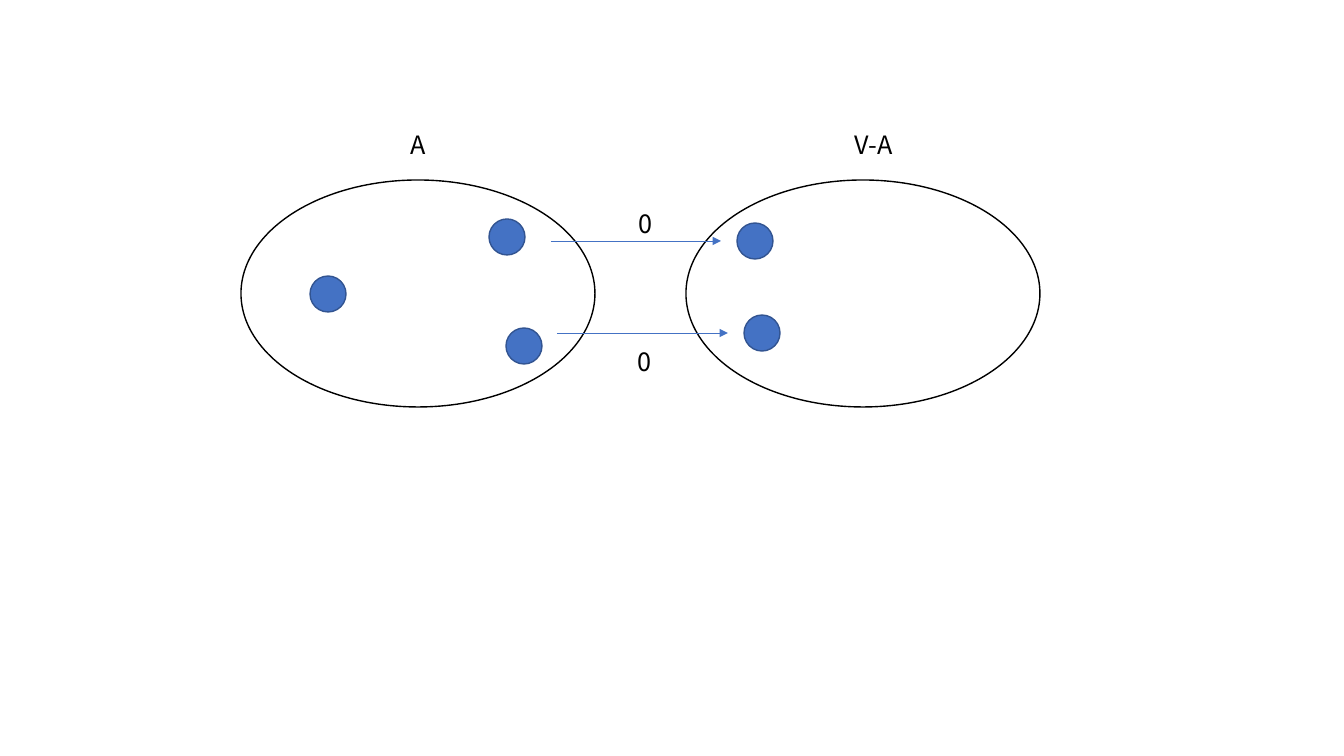
import pptx
import pptx.util
import pptx.dml.color
import pptx.enum.shapes
import pptx.enum.text
import pptx.oxml
import pptx.oxml.ns

# Content, in pixels
SLIDE_SIZE = (1344, 756)
SET_SIZE = (354, 227)
SETS = [(241, 180), (686, 180)]                 # left, top
VERTEX_SIZE = (36, 36)
VERTICES = [(507, 237), (328, 294), (524, 346), (755, 241), (762, 333)]  # centre
EDGES = [(551, 721, 241), (557, 728, 333)]      # from x, to x, y
LABEL_HEIGHT = 40
LABELS = [("A", 401, 124, 37), ("V-A", 845, 124, 64),
          ("0", 629, 203, 34), ("0", 628, 341, 34)]  # text, left, top, width
LABEL_FONT = {"name": "Noto Sans CJK KR", "size": pptx.util.Pt(18)}
LABEL_FRAME = {"word_wrap": False,
               "auto_size": pptx.enum.text.MSO_AUTO_SIZE.SHAPE_TO_FIT_TEXT}
BLACK, BLUE, DARK_BLUE = "000000", "4472C4", "325491"


def px(*lengths):
    return [round(length * 914400 / 100.8) for length in lengths]


def color(hex_value):
    return pptx.dml.color.RGBColor.from_string(hex_value)


def style_line(line, hex_value, points):
    line.color.rgb = color(hex_value)
    line.width = pptx.util.Pt(points)


def add_ellipse(left, top, size, line_color, fill_color=None):
    ellipse = slide.shapes.add_shape(
        pptx.enum.shapes.MSO_SHAPE.OVAL, *px(left, top, *size))
    ellipse.shadow.inherit = False
    style_line(ellipse.line, line_color, 1)
    if fill_color:
        ellipse.fill.solid()
        ellipse.fill.fore_color.rgb = color(fill_color)
    else:
        ellipse.fill.background()


def add_label(text, left, top, width):
    frame = slide.shapes.add_textbox(*px(left, top, width, LABEL_HEIGHT)).text_frame
    for name, value in LABEL_FRAME.items():
        setattr(frame, name, value)
    run = frame.paragraphs[0].add_run()
    run.text = text
    for name, value in LABEL_FONT.items():
        setattr(run.font, name, value)
    run.font.color.rgb = color(BLACK)


def add_edge(start, end, y):
    edge = slide.shapes.add_connector(
        pptx.enum.shapes.MSO_CONNECTOR.STRAIGHT, *px(start, y, end, y))
    style_line(edge.line, BLUE, 0.5)
    properties = edge.element.spPr
    arrowhead = pptx.oxml.parse_xml(
        f'<a:tailEnd {pptx.oxml.ns.nsdecls("a")} type="triangle"/>')
    properties.find(pptx.oxml.ns.qn("a:ln")).append(arrowhead)
    properties.append(pptx.oxml.parse_xml(
        f'<a:effectLst {pptx.oxml.ns.nsdecls("a")}/>'))


presentation = pptx.Presentation()
presentation.slide_width, presentation.slide_height = px(*SLIDE_SIZE)
slide = presentation.slides.add_slide(presentation.slide_layouts[6])

# The two vertex sets
for left, top in SETS:
    add_ellipse(left, top, SET_SIZE, BLACK)

# Vertices, placed by their centres
for x, y in VERTICES:
    add_ellipse(x - VERTEX_SIZE[0] / 2, y - VERTEX_SIZE[1] / 2,
                VERTEX_SIZE, DARK_BLUE, BLUE)

# Edges between the sets
for edge_ends in EDGES:
    add_edge(*edge_ends)

# Set names and edge weights
for label in LABELS:
    add_label(*label)

presentation.save("out.pptx")
